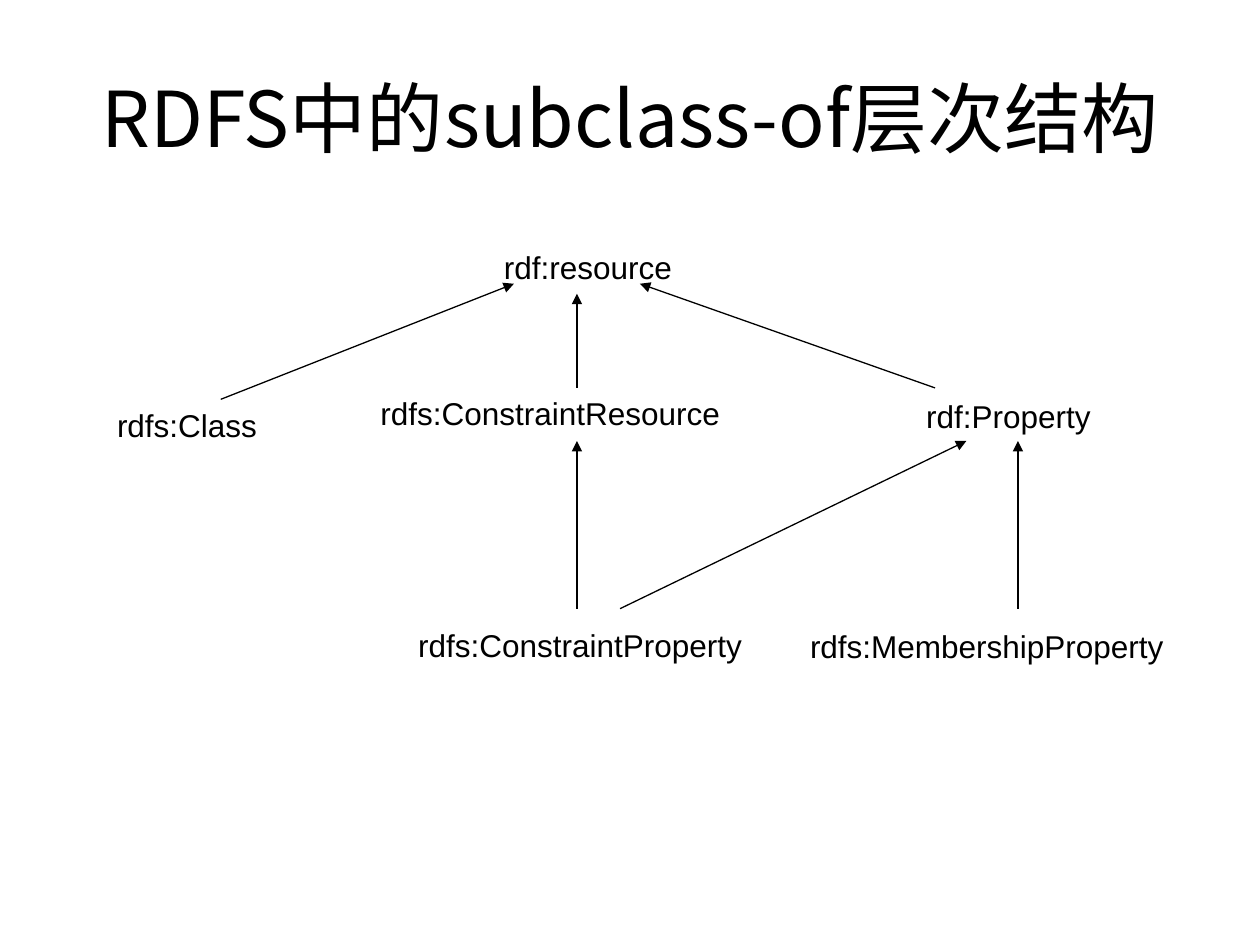
from lxml.etree import SubElement
from pptx import Presentation
from pptx.dml.color import RGBColor
from pptx.enum.shapes import MSO_CONNECTOR as CONN
from pptx.enum.text import MSO_ANCHOR as ANCHOR, MSO_AUTO_SIZE as FIT, PP_ALIGN as ALIGN
from pptx.oxml.ns import qn
from pptx.util import Cm, Pt

BLACK = "000000"
TITLE_FONT = "Noto Sans CJK SC"
LABEL_HEIGHT = 1.02

LABELS = [
    ("rdf:resource", 8.69, 4.88, 5.92, 1.47),
    ("rdfs:Class", 2.11, 8.05, 4.45, 0.25),
    ("rdfs:ConstraintResource", 7.42, 7.82, 7.82, 0.25),
    ("rdf:Property", 18.42, 7.87, 4.88, 0.25),
    ("rdfs:ConstraintProperty", 7.82, 12.5, 7.42, 0.61),
    ("rdfs:MembershipProperty", 16.08, 12.52, 8.05, 0.25),
]

ARROWS = [
    (4.45, 8.05, 10.36, 5.72),
    (11.63, 7.82, 11.63, 5.92),
    (18.85, 7.82, 12.9, 5.72),
    (11.63, 12.27, 11.63, 8.89),
    (12.5, 12.27, 19.48, 8.89),
    (20.52, 12.27, 20.52, 8.89),
]


def color(value):
    return RGBColor.from_string(value)


def set_attrs(target, values):
    for name, value in values.items():
        setattr(target, name, value)


def write(tf, text, font, size, align):
    p = tf.paragraphs[0]
    p.alignment = align
    r = p.add_run()
    r.text = text
    set_attrs(r.font, {"name": font, "size": Pt(size)})
    r.font.color.rgb = color(BLACK)
    return r


def add_title(s, text):
    sp = s.shapes.title
    set_attrs(sp, {"left": Cm(1.27), "top": Cm(0.76), "width": Cm(22.86), "height": Cm(3.18)})
    tf = sp.text_frame
    set_attrs(tf, {"word_wrap": True, "auto_size": FIT.NONE, "vertical_anchor": ANCHOR.MIDDLE})
    r = write(tf, text, TITLE_FONT, 44, ALIGN.CENTER)
    SubElement(r.font._element, qn("a:ea"), typeface=TITLE_FONT)


def add_label(s, text, left, top, width, inset):
    sp = s.shapes.add_textbox(Cm(left), Cm(top), Cm(width), Cm(LABEL_HEIGHT))
    tf = sp.text_frame
    set_attrs(tf, {
        "word_wrap": True, "auto_size": FIT.SHAPE_TO_FIT_TEXT,
        "margin_left": Cm(inset), "margin_right": Cm(0),
        "margin_top": Cm(0.13), "margin_bottom": Cm(0.13),
    })
    write(tf, text, "Arial", 18, ALIGN.LEFT)


def add_arrow(s, *ends):
    line = s.shapes.add_connector(CONN.STRAIGHT, *map(Cm, ends))
    line.line.width = Pt(0.75)
    line.line.color.rgb = color(BLACK)
    SubElement(line.line._get_or_add_ln(), qn("a:tailEnd"), type="triangle")
    SubElement(line._element.spPr, qn("a:effectLst"))


def main():
    prs = Presentation()
    set_attrs(prs, {"slide_width": Cm(25.4), "slide_height": Cm(19.05)})
    s = prs.slides.add_slide(prs.slide_layouts[5])
    add_title(s, "RDFS中的subclass-of层次结构")
    for label in LABELS:
        add_label(s, *label)
    for ends in ARROWS:
        add_arrow(s, *ends)
    prs.save("out.pptx")


if __name__ == "__main__":
    main()
